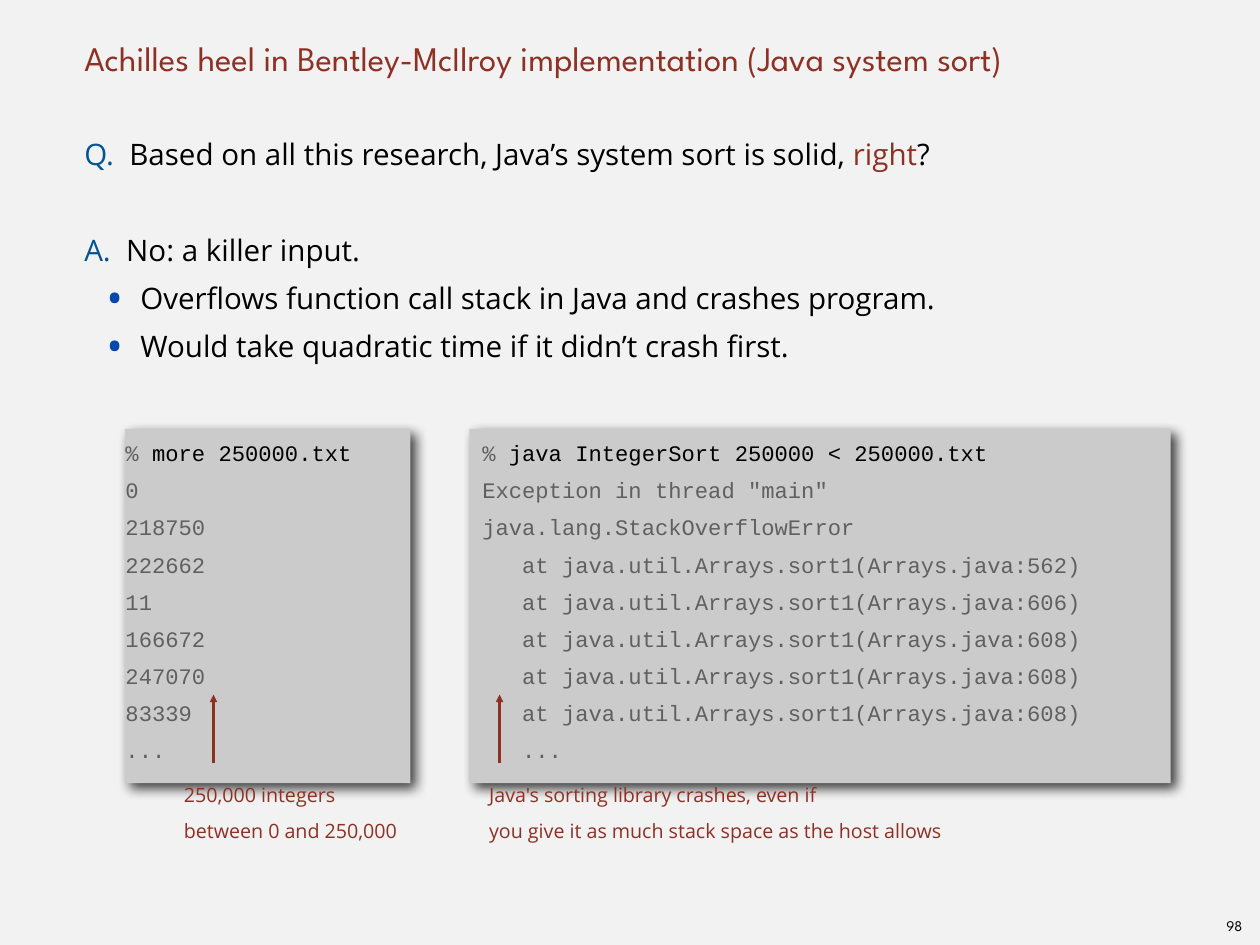
"""Draw the slide on a killer input for the Java system sort."""
from dataclasses import dataclass
from typing import Optional

from lxml import etree
from pptx import Presentation
from pptx.dml import color as dml
from pptx.enum import shapes, text
from pptx.oxml import ns
from pptx.util import Pt


@dataclass(frozen=True)
class Theme:
    back: str = "F2F2F2"
    panel: str = "CBCBCB"
    ink: str = "000000"
    red: str = "8D3124"
    blue: str = "005493"
    dot: str = "0048AA"
    gray: str = "606060"
    head: str = "League Spartan"
    body: str = "Open Sans"
    code: str = "Courier New"
    title_size: int = 28
    body_size: int = 24
    code_size: int = 18
    note_size: int = 16
    page_size: int = 12


T = Theme()


@dataclass(frozen=True)
class Box:
    left: float
    top: float
    width: float
    height: float


@dataclass(frozen=True)
class Style:
    font: str
    size: int
    lead: Optional[float] = None
    indent: float = 0
    wrap: bool = True
    anchor: text.MSO_ANCHOR = text.MSO_ANCHOR.TOP
    align: text.PP_ALIGN = text.PP_ALIGN.LEFT


@dataclass(frozen=True)
class Run:
    words: str
    color: str = T.ink


@dataclass(frozen=True)
class Line:
    runs: tuple[Run, ...]
    dot: bool = False
    before: float = 0


@dataclass(frozen=True)
class Panel:
    left: float
    width: float
    indent: float
    command: str
    output: tuple[str, ...]


@dataclass(frozen=True)
class Note:
    left: float
    width: float
    arrow: float
    lines: tuple[str, str]


LEAD = Pt(39)
TITLE = Style(T.head, T.title_size, Pt(59), 4.5, anchor=text.MSO_ANCHOR.BOTTOM)
BODY = Style(T.body, T.body_size, LEAD, 4.5)
NOTE = Style(T.body, T.note_size, 1.5, 4.5, wrap=False)
PAGE = Style(T.head, T.page_size, wrap=False, anchor=text.MSO_ANCHOR.MIDDLE,
             align=text.PP_ALIGN.CENTER)

POINTS = (
    Line((Run("Q.  ", T.blue),
          Run("Based on all this research, Java’s system sort is solid, "),
          Run("right", T.red), Run("?"))),
    Line((Run("A.  ", T.blue), Run("No: a killer input.")), before=39),
    Line((Run("Overflows function call stack in Java and crashes program."),), dot=True),
    Line((Run("Would take quadratic time if it didn’t crash first."),), dot=True),
)
TRACE = tuple(f"   at java.util.Arrays.sort1(Arrays.java:{row})"
              for row in (562, 606, 608, 608, 608))
PANELS = (
    Panel(101.5, 232, 0.5, "more 250000.txt",
          ("0", "218750", "222662", "11", "166672", "247070", "83339", "...")),
    Panel(381.5, 570, 10.5, "java IntegerSort 250000 < 250000.txt",
          ('Exception in thread "main" java.lang.StackOverflowError', *TRACE, "   ...")),
)
NOTES = (
    Note(393, 408, 406, ("Java's sorting library crashes, even if",
                         "you give it as much stack space as the host allows")),
    Note(145, 199, 173.5, ("250,000 integers", "between 0 and 250,000")),
)


def rgb(code: str) -> dml.RGBColor:
    return dml.RGBColor.from_string(code)


def add_node(parent, tag: str, **attrs: str):
    node = etree.SubElement(parent, ns.qn(tag))
    for key, value in attrs.items():
        node.set(key, value)
    return node


def add_dot(props) -> None:
    add_node(add_node(props, "a:buClr"), "a:srgbClr", val=T.dot)
    add_node(props, "a:buSzPct", val="150000")
    add_node(props, "a:buFont", typeface=T.body)
    add_node(props, "a:buChar", char="•")


def write(shape, style: Style, lines: tuple[Line, ...], inset: float = 0) -> None:
    frame = shape.text_frame
    frame.word_wrap = style.wrap
    frame.vertical_anchor = style.anchor
    frame.margin_left = frame.margin_right = Pt(inset)
    frame.margin_top = frame.margin_bottom = Pt(inset)
    for index, line in enumerate(lines):
        para = frame.add_paragraph() if index else frame.paragraphs[0]
        props = para._p.get_or_add_pPr()
        props.set("marL", str(Pt(50 if line.dot else style.indent)))
        props.set("indent", str(Pt(-27.5 if line.dot else 0)))
        if line.dot:
            add_dot(props)
        para.alignment = style.align
        para.line_spacing = style.lead
        if line.before:
            para.space_before = Pt(line.before)
        for part in line.runs:
            run = para.add_run()
            run.text = part.words
            run.font.name = style.font
            run.font.size = Pt(style.size)
            run.font.color.rgb = rgb(part.color)


def add_text(slide, box: Box, style: Style, lines: tuple[Line, ...], inset: float = 0) -> None:
    shape = slide.shapes.add_textbox(Pt(box.left), Pt(box.top), Pt(box.width), Pt(box.height))
    write(shape, style, lines, inset)


def add_panel(slide, panel: Panel) -> None:
    shape = slide.shapes.add_shape(shapes.MSO_SHAPE.RECTANGLE, Pt(panel.left), Pt(348.5),
                                   Pt(panel.width), Pt(288))
    shape.fill.solid()
    shape.fill.fore_color.rgb = rgb(T.panel)
    shape.line.fill.background()
    shape.shadow.inherit = False
    shade = add_node(shape._element.spPr.find(ns.qn("a:effectLst")), "a:outerShdw",
                     blurRad=str(Pt(10)), dist=str(Pt(6)), dir="2700000", rotWithShape="0")
    add_node(add_node(shade, "a:srgbClr", val=T.ink), "a:alpha", val="75000")
    first = Line((Run("%", T.gray), Run(f" {panel.command}")))
    rest = tuple(Line((Run(words, T.gray),)) for words in panel.output)
    write(shape, Style(T.code, T.code_size, 1.4, panel.indent), (first, *rest))


def add_arrow(slide, left: float) -> None:
    arrow = slide.shapes.add_connector(shapes.MSO_CONNECTOR.STRAIGHT,
                                       Pt(left), Pt(620), Pt(left), Pt(564.5))
    arrow.line.color.rgb = rgb(T.red)
    arrow.line.width = Pt(2)
    add_node(arrow.line._get_or_add_ln(), "a:tailEnd", type="triangle")
    add_node(arrow._element.spPr, "a:effectLst")


def main() -> None:
    deck = Presentation()
    deck.slide_width, deck.slide_height = Pt(1024), Pt(768)
    slide = deck.slides.add_slide(deck.slide_layouts[6])
    slide.background.fill.solid()
    slide.background.fill.fore_color.rgb = rgb(T.back)
    title = Run("Achilles heel in Bentley-McIlroy implementation (Java system sort)", T.red)
    add_text(slide, Box(991, 741, 24.5, 23), PAGE, (Line((Run("98"),)),), 4)
    add_text(slide, Box(64, 0, 896, 64), TITLE, (Line((title,)),))
    add_text(slide, Box(64, 100, 896, 640), BODY, POINTS)
    for panel in PANELS:
        add_panel(slide, panel)
    for note in NOTES:
        lines = tuple(Line((Run(words, T.red),)) for words in note.lines)
        add_text(slide, Box(note.left, 627, note.width, 53), NOTE, lines)
        add_arrow(slide, note.arrow)
    deck.save("out.pptx")


if __name__ == "__main__":
    main()
